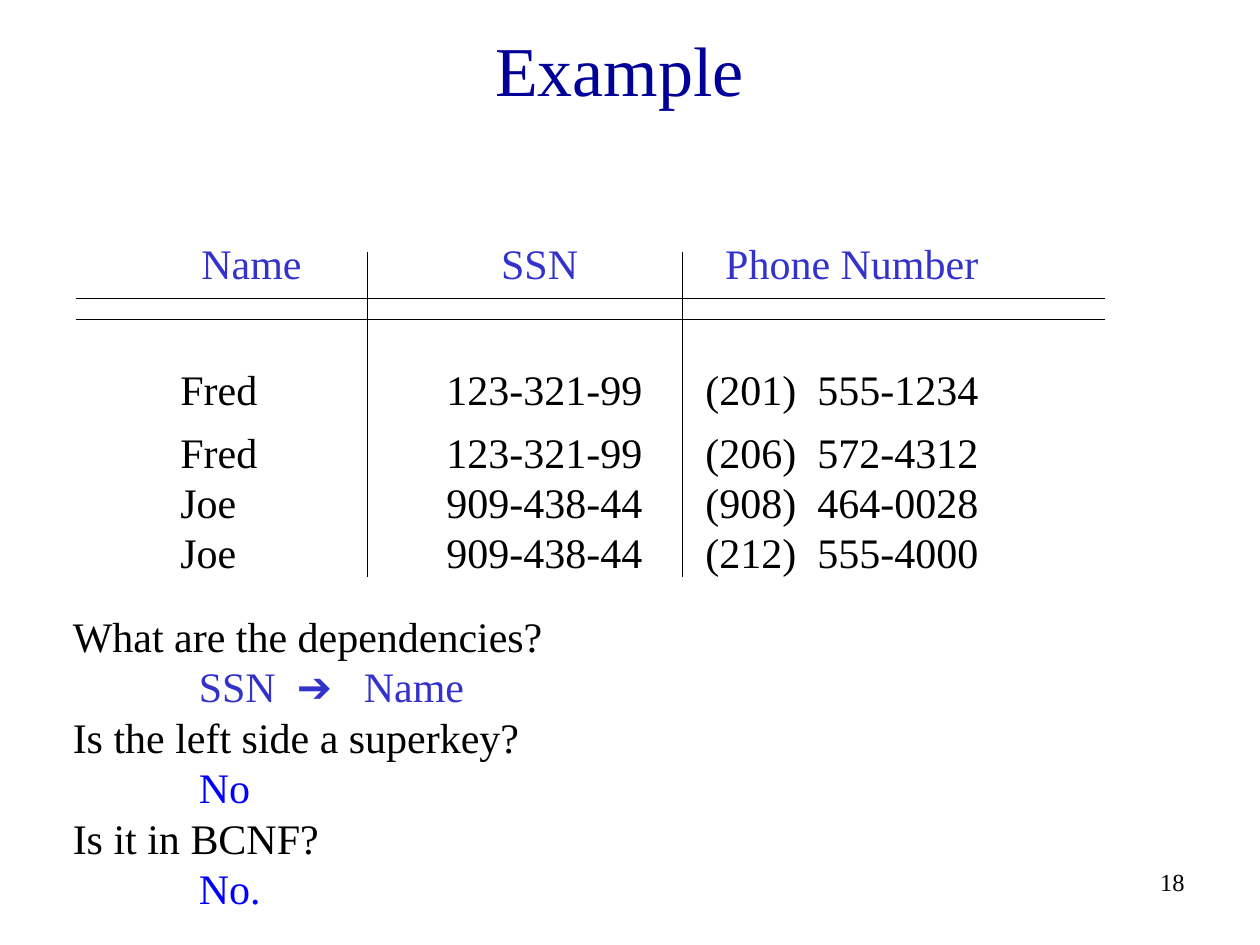
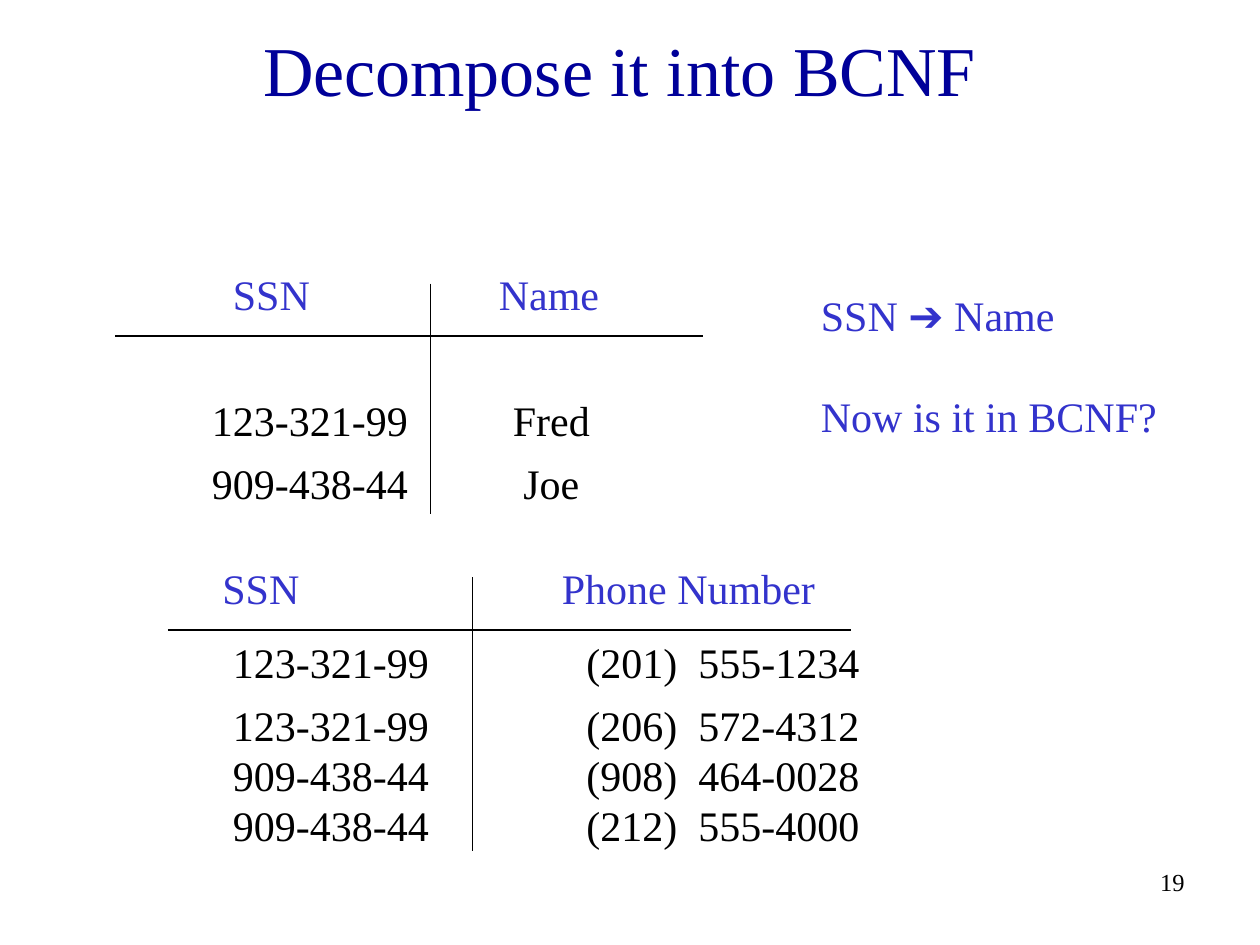
import pptx
import pptx.dml.color
import pptx.enum.shapes
import pptx.enum.text
import pptx.oxml.ns
import pptx.util
from lxml import etree

Pt = pptx.util.Pt
RGBColor = pptx.dml.color.RGBColor
Align = pptx.enum.text.PP_ALIGN
Anchor = pptx.enum.text.MSO_ANCHOR

BLACK = RGBColor(0x00, 0x00, 0x00)
NAVY = RGBColor(0x00, 0x00, 0x99)
INDIGO = RGBColor(0x33, 0x33, 0xCC)
BLUE = RGBColor(0x00, 0x00, 0xFF)
SERIF = "Times New Roman"
ARROW = "➔"
ARROW_FONT = "Arial"
LINE_PITCH = 28.8

PHONES = ["(201)\t555-1234", "(206)\t572-4312", "(908)\t464-0028", "(212)\t555-4000"]
NUMBERS = ["123-321-99", "123-321-99", "909-438-44", "909-438-44"]
NAMES = ["Fred", "Fred", "Joe", "Joe"]


def set_tabs(para, stops, kind):
    properties = para._p.get_or_add_pPr()
    tabs = etree.SubElement(properties, pptx.oxml.ns.qn("a:tabLst"))
    for stop in stops:
        etree.SubElement(tabs, pptx.oxml.ns.qn("a:tab"), pos=str(Pt(stop)), algn=kind)


def add_text(page, place, lines, color=BLACK, size=24, align=Align.LEFT,
             anchor=Anchor.TOP, stops=(), tab_kind="l", gap=0):
    box = page.shapes.add_textbox(*map(Pt, place))
    frame = box.text_frame
    frame.word_wrap = True
    frame.vertical_anchor = anchor
    for index, line in enumerate(lines):
        para = frame.paragraphs[0] if index == 0 else frame.add_paragraph()
        para.alignment = align
        if index and gap:
            para.space_before = Pt(gap)
        if stops:
            set_tabs(para, stops, tab_kind)
        text, shade = line if isinstance(line, tuple) else (line, color)
        para.font.size = Pt(size)
        para.font.color.rgb = shade
        before, arrow, after = text.partition(ARROW)
        if not arrow:
            para.font.name = SERIF
        for part, font in ((before, SERIF), (arrow, ARROW_FONT), (after, SERIF)):
            if part:
                span = para.add_run()
                span.text = part
                if arrow:
                    span.font.name = font


def add_rule(page, start_x, start_y, end_x, end_y):
    rule = page.shapes.add_connector(pptx.enum.shapes.MSO_CONNECTOR.STRAIGHT,
                                     Pt(start_x), Pt(start_y), Pt(end_x), Pt(end_y))
    rule.line.color.rgb = BLACK
    rule.line.width = Pt(0.75)
    etree.SubElement(rule._element.spPr, pptx.oxml.ns.qn("a:effectLst"))


def add_relation(page, header, header_place, header_stops, rows, rows_place, row_stops,
                 tab_kind="l"):
    left, top, width = rows_place
    add_text(page, (*header_place, 36), ["\t".join(header)], INDIGO, stops=header_stops)
    lines = ["\t".join(row) for row in rows]
    for offset, group in ((0, lines[:1]), (36, lines[1:])):
        add_text(page, (left, top + offset, width, LINE_PITCH * len(group) + 7.2), group,
                 stops=row_stops, tab_kind=tab_kind)


def add_page(deck, title, number):
    page = deck.slides.add_slide(deck.slide_layouts[6])
    add_text(page, (534, 492, 150, 36), [str(number)], size=14, align=Align.RIGHT)
    add_text(page, (12, 12, 684, 54), [title], NAVY, 40, Align.CENTER, Anchor.MIDDLE)
    return page


def add_example(deck):
    page = add_page(deck, "Example", 18)
    for y in (170.5, 182.5):
        add_rule(page, 43.3, y, 631.3, y)
    add_relation(page, ["Name", "SSN", "Phone Number"], (108, 132, 480), (171.3, 299.3),
                 zip(NAMES, NUMBERS, PHONES), (96, 204, 490), (152, 300, 364))
    for x in (210, 390):
        add_rule(page, x, 144, x, 330)
    questions = [
        "What are the dependencies?",
        (f"\tSSN\t{ARROW}\tName", INDIGO),
        "Is the left side a superkey?",
        ("\tNo", BLUE),
        "Is it in BCNF?",
        ("\tNo.", BLUE),
    ]
    add_text(page, (34.5, 345.3, 300, 181), questions, stops=(72, 128, 166.3))


def add_decomposition(deck):
    page = add_page(deck, "Decompose it into BCNF", 19)
    add_relation(page, ["SSN", "Name"], (126, 150, 240), (152,),
                 [("123-321-99", "Fred"), ("909-438-44", "Joe")], (114, 222, 260), (194,), "ctr")
    add_rule(page, 66, 192, 402, 192)
    add_rule(page, 246, 162, 246, 294)
    add_relation(page, ["SSN", "Phone Number"], (120, 318, 370), (194,),
                 zip(NUMBERS, PHONES), (126, 360, 390), (202, 266))
    add_rule(page, 96, 360, 486, 360)
    add_rule(page, 270, 330, 270, 486)
    add_text(page, (462, 162, 220, 94), [f"SSN {ARROW} Name", "Now is it in BCNF?"], INDIGO,
             gap=LINE_PITCH)


def main():
    deck = pptx.Presentation()
    deck.slide_width = Pt(720)
    deck.slide_height = Pt(540)
    add_example(deck)
    add_decomposition(deck)
    deck.save("out.pptx")


if __name__ == "__main__":
    main()
